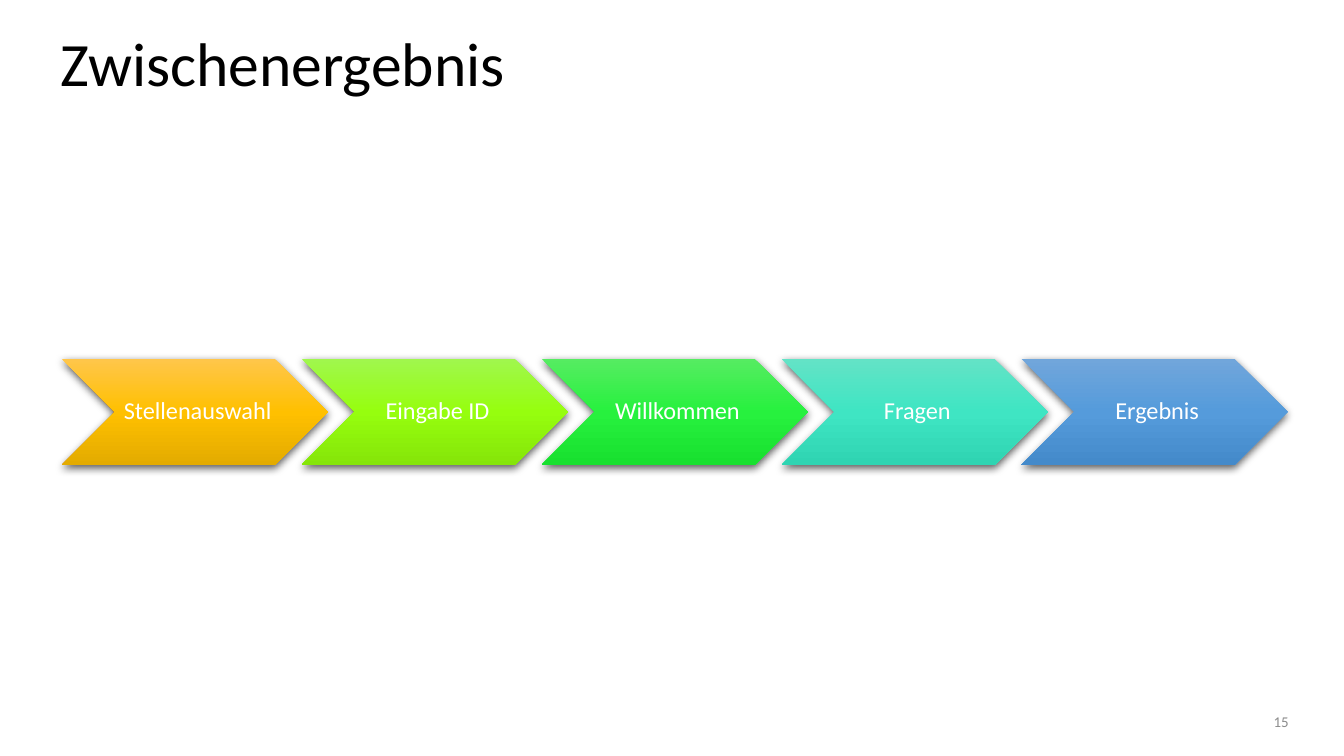
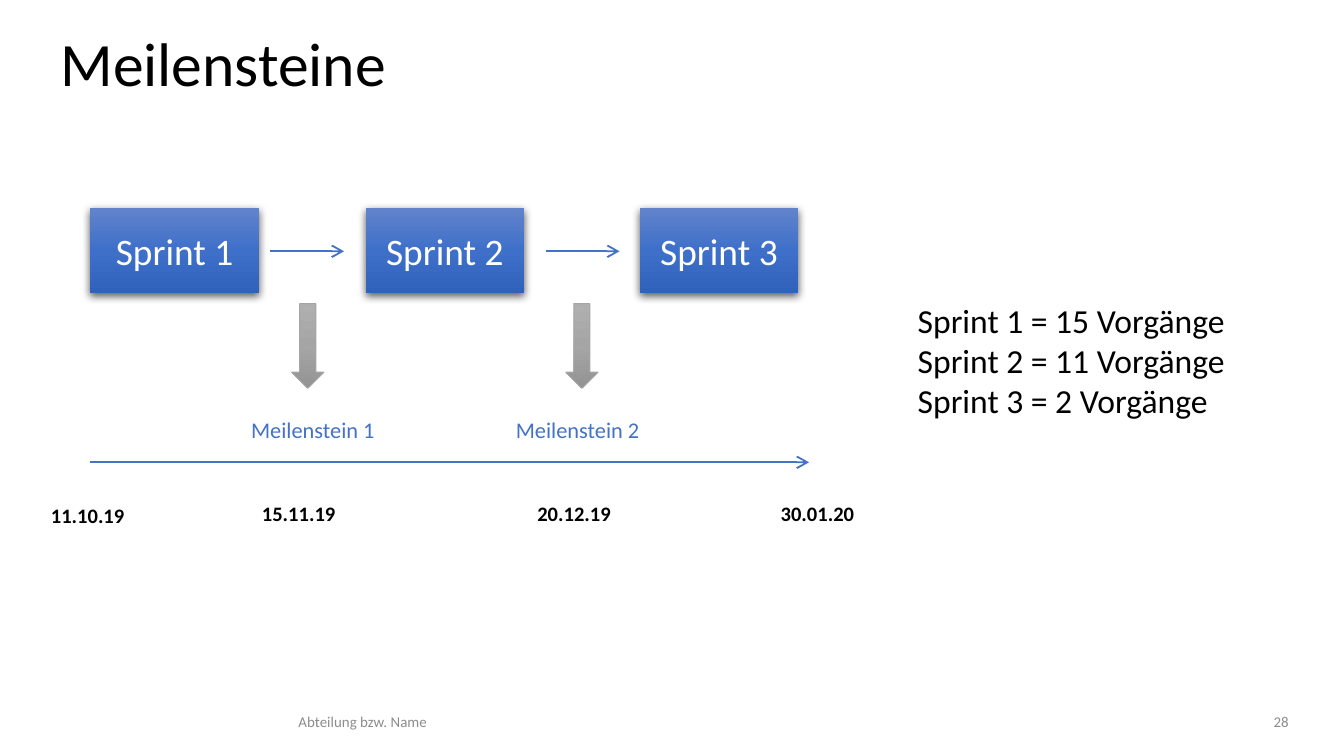
from copy import deepcopy

from lxml.etree import SubElement
from pptx import Presentation
from pptx.dml.color import RGBColor
from pptx.enum.shapes import MSO_CONNECTOR, MSO_SHAPE
from pptx.enum.text import MSO_ANCHOR, MSO_AUTO_SIZE, PP_ALIGN
from pptx.oxml.ns import qn
from pptx.util import Inches, Pt

FONT = "Calibri"
COLORS = {"text": "000000", "white": "FFFFFF", "footer": "8C8C8C",
          "accent": "4472C4", "gray": "A5A5A5"}
GRADIENTS = {
    "amber": ("FFC64B", "FFC000", "E3AB00"),
    "lime": ("A0F74E", "96FE0E", "85E509"),
    "green": ("56EC62", "27F13E", "18E02F"),
    "teal": ("63E3C6", "3FE5C3", "2FD4B2"),
    "sky": ("71A6DB", "559BDB", "448ACA"),
    "blue": ("6183CB", "3E70CA", "3062BB"),
    "gray": ("AFAFAF", "A5A5A5", "939393"),
}


def write_text(shape, text, size, color, align=PP_ALIGN.LEFT, bold=False,
               anchor=MSO_ANCHOR.TOP, margins=(0.1, 0.05), spacing=1.0):
    """Fill a shape with one paragraph per line; margins are (sides, top and bottom)."""
    frame = shape.text_frame
    frame.text = text
    frame.word_wrap = True
    frame.auto_size = MSO_AUTO_SIZE.NONE
    frame.vertical_anchor = anchor
    frame.margin_left = frame.margin_right = Inches(margins[0])
    frame.margin_top = frame.margin_bottom = Inches(margins[1])
    for paragraph in frame.paragraphs:
        paragraph.alignment = align
        paragraph.line_spacing = spacing
        paragraph.font.name = FONT
        paragraph.font.size = Pt(size)
        paragraph.font.bold = bold
        paragraph.font.color.rgb = RGBColor.from_string(COLORS[color])


def add_gradient_shape(slide, preset, box, gradient, shadow=True):
    """Add a borderless shape with a vertical three-stop gradient."""
    shape = slide.shapes.add_shape(preset, *map(Inches, box))
    shape.fill.gradient()
    stop_list = shape._element.spPr.find(qn("a:gradFill")).find(qn("a:gsLst"))
    stop_list.append(deepcopy(stop_list[-1]))
    shape.fill.gradient_angle = 270
    for stop, position, color in zip(shape.fill.gradient_stops, (0, 0.5, 1), GRADIENTS[gradient]):
        stop.position = position
        stop.color.rgb = RGBColor.from_string(color)
    shape.line.fill.background()
    shape.shadow.inherit = False
    if shadow:
        effects = shape._element.spPr.find(qn("a:effectLst"))
        outer = SubElement(effects, qn("a:outerShdw"), blurRad=str(Pt(4.5)),
                           dist=str(Pt(1.5)), dir="5400000", algn="ctr", rotWithShape="0")
        black = SubElement(outer, qn("a:srgbClr"), val="000000")
        SubElement(black, qn("a:alpha"), val="63000")
    return shape


prs = Presentation()
prs.slide_width, prs.slide_height = Inches(10), Inches(10 * 9 / 16)

# Titles and footers
slides = []
for heading, department, number in (("Zwischenergebnis", None, "15"),
                                    ("Meilensteine", "Abteilung bzw. Name", "28")):
    slide = prs.slides.add_slide(prs.slide_layouts[5])
    slides.append(slide)
    title = slide.shapes.title
    title.left, title.top, title.width, title.height = map(Inches, (0.35, 0.18, 9.25, 0.63))
    write_text(title, heading, 33, "text", anchor=MSO_ANCHOR.MIDDLE, spacing=0.9)
    for text, left, width, align in ((department, 0.45, 4.5, PP_ALIGN.CENTER),
                                     (number, 6.52, 3.07, PP_ALIGN.RIGHT)):
        if text:
            footer = slide.shapes.add_textbox(*map(Inches, (left, 5.27, width, 0.2)))
            write_text(footer, text, 8, "footer", align, anchor=MSO_ANCHOR.MIDDLE,
                       margins=(0, 0.05))
process, milestones = slides

# Process chevrons
steps = (("Stellenauswahl", "amber"), ("Eingabe ID", "lime"), ("Willkommen", "green"),
         ("Fragen", "teal"), ("Ergebnis", "sky"))
pitch = (7.6 - 0.46) / (len(steps) - 1)
for i, (step, gradient) in enumerate(steps):
    chevron = add_gradient_shape(process, MSO_SHAPE.CHEVRON,
                                 (0.46 + i * pitch, 2.67, 1.98, 0.79), gradient)
    write_text(chevron, step, 13, "white", PP_ALIGN.CENTER, anchor=MSO_ANCHOR.MIDDLE,
               margins=(0.02, 0.02), spacing=0.9)
    chevron.text_frame.margin_left = Inches(0.06)

# Sprints
for i, (left, width) in enumerate(((0.67, 1.26), (2.72, 1.18), (4.76, 1.18)), start=1):
    sprint = add_gradient_shape(milestones, MSO_SHAPE.RECTANGLE, (left, 1.55, width, 0.63), "blue")
    write_text(sprint, f"Sprint {i}", 20, "white", PP_ALIGN.CENTER, anchor=MSO_ANCHOR.MIDDLE)

for left in (2.17, 4.21):
    down_arrow = add_gradient_shape(milestones, MSO_SHAPE.DOWN_ARROW,
                                    (left, 2.26, 0.24, 0.63), "gray", shadow=False)
    down_arrow.line.color.rgb = RGBColor.from_string(COLORS["gray"])
    down_arrow.line.width = Pt(0.5)

# Arrows between sprints, then the time axis
for start, end, y in ((2.01, 2.56, 1.87), (4.06, 4.61, 1.87), (0.67, 6.02, 3.44)):
    arrow = milestones.shapes.add_connector(MSO_CONNECTOR.STRAIGHT,
                                            *map(Inches, (start, y, end, y)))
    arrow.line.color.rgb = RGBColor.from_string(COLORS["accent"])
    arrow.line.width = Pt(1)
    SubElement(arrow.line._get_or_add_ln(), qn("a:tailEnd"), type="arrow")
    SubElement(arrow._element.spPr, qn("a:effectLst"))

# Milestones, dates and task counts
tasks = "\n".join(f"Sprint {i} = {count} Vorgänge" for i, count in enumerate((15, 11, 2), start=1))
for text, box, size, color, bold in (
    ("Meilenstein 1", (1.77, 3.05, 1.26, 0.3), 12, "accent", False),
    ("Meilenstein 2", (3.74, 3.05, 1.26, 0.3), 12, "accent", False),
    ("11.10.19", (0.28, 3.69, 0.79, 0.29), 11, "text", True),
    ("15.11.19", (1.85, 3.68, 0.79, 0.29), 11, "text", True),
    ("20.12.19", (3.9, 3.68, 0.87, 0.29), 11, "text", True),
    ("30.01.20", (5.71, 3.68, 0.79, 0.29), 11, "text", True),
    (tasks, (6.73, 2.18, 2.99, 1.01), 18, "text", False),
):
    label = milestones.shapes.add_textbox(*map(Inches, box))
    write_text(label, text, size, color, bold=bold)

prs.save("out.pptx")
